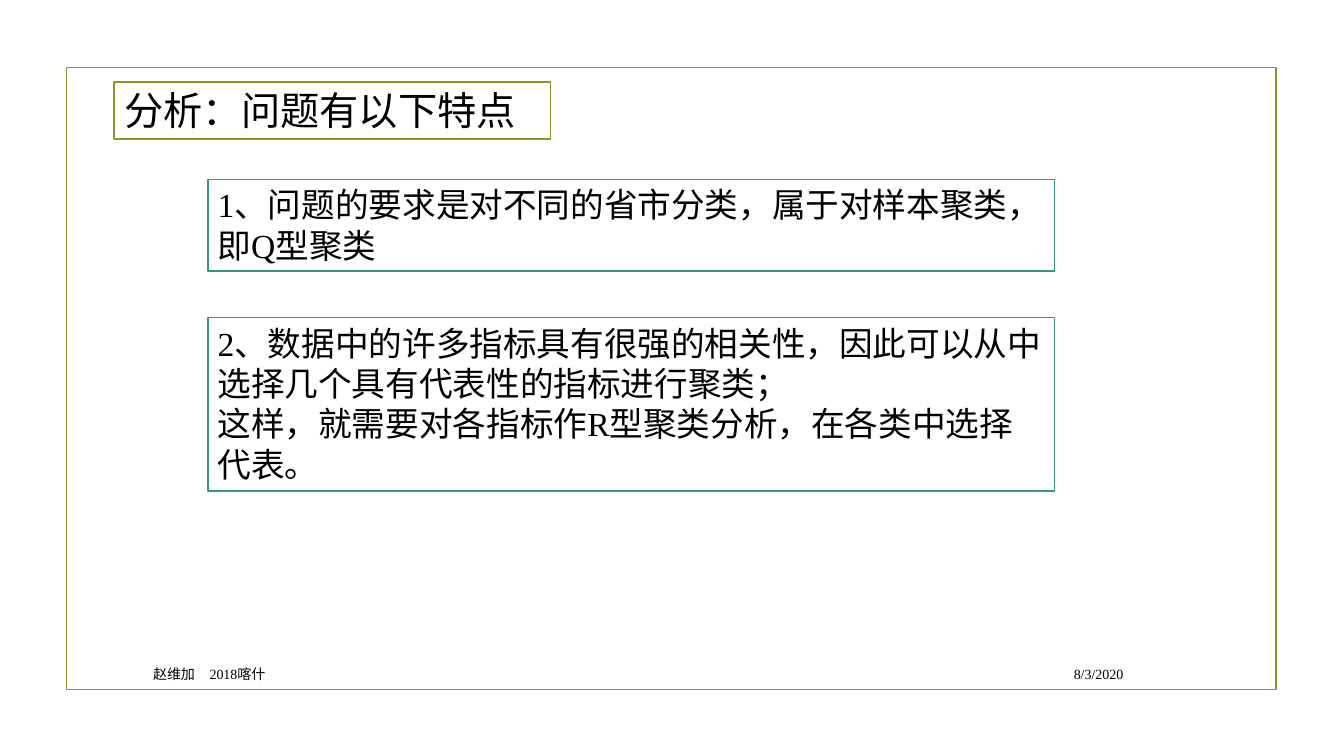
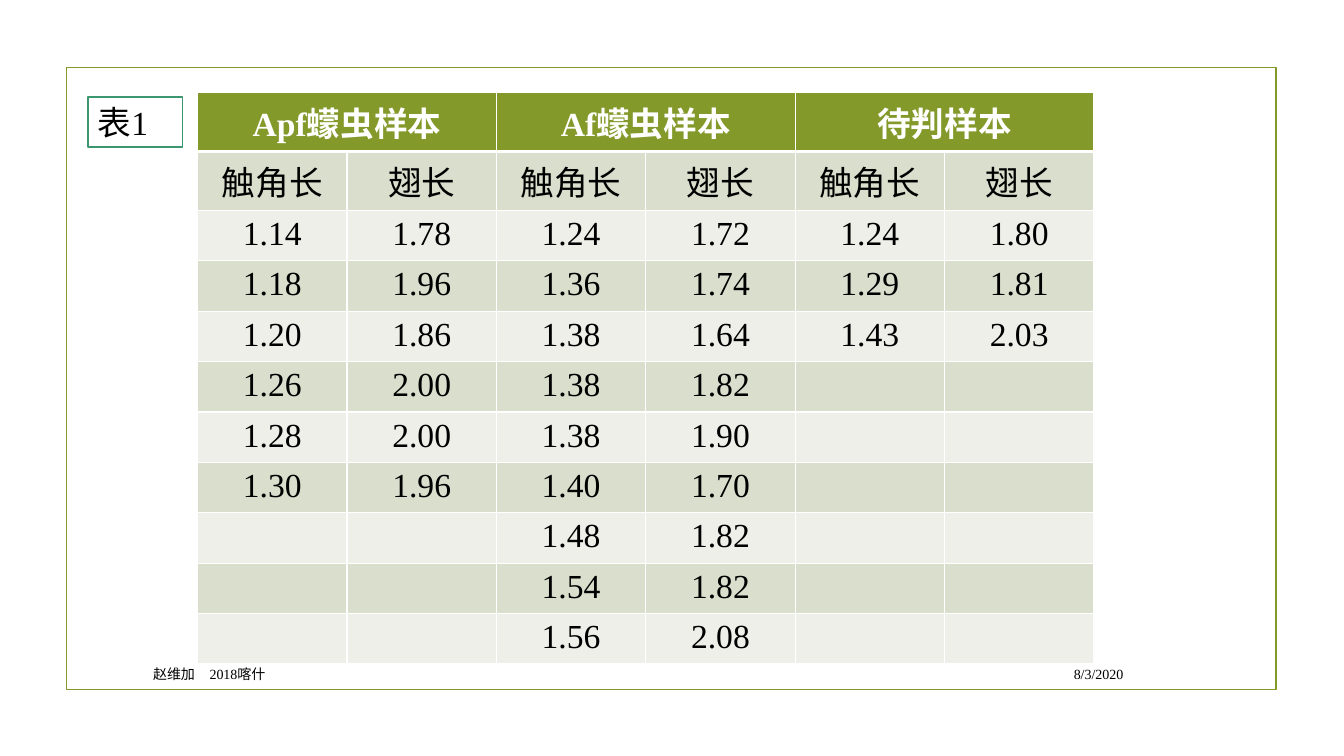
from lxml import etree
from pptx import Presentation
from pptx import util as u
from pptx.dml.color import RGBColor
from pptx.enum import shapes, text
from pptx.oxml import ns

OLIVE = RGBColor(0x83, 0x99, 0x2A)
TEAL = RGBColor(0x3C, 0x97, 0x70)
DARK = RGBColor(0xD9, 0xDE, 0xCD)
PALE = RGBColor(0xED, 0xEF, 0xE8)
WHITE = RGBColor(0xFF, 0xFF, 0xFF)
BLACK = RGBColor(0, 0, 0)

BASE = {"name": "Times New Roman", "bold": False}
LEFT = text.PP_ALIGN.LEFT
RIGHT = text.PP_ALIGN.RIGHT
CENTER = text.PP_ALIGN.CENTER
TOP = text.MSO_ANCHOR.TOP
MIDDLE = text.MSO_ANCHOR.MIDDLE

HEADS = ["Apf蠓虫样本", "Af蠓虫样本", "待判样本"]
NAMES = ["触角长", "翅长"]
APF = [("1.14", "1.78"), ("1.18", "1.96"), ("1.20", "1.86"),
       ("1.26", "2.00"), ("1.28", "2.00"), ("1.30", "1.96")]
AF = [("1.24", "1.72"), ("1.36", "1.74"), ("1.38", "1.64"),
      ("1.38", "1.82"), ("1.38", "1.90"), ("1.40", "1.70"),
      ("1.48", "1.82"), ("1.54", "1.82"), ("1.56", "2.08")]
TEST = [("1.24", "1.80"), ("1.29", "1.81"), ("1.43", "2.03")]


def inches(*nums):
    return [u.Inches(n) for n in nums]


def write(frame, words, size, align=LEFT, color=BLACK, **extra):
    frame.text = words
    for para in frame.paragraphs:
        para.alignment = align
        for run in para.runs:
            look = {**BASE, "size": u.Pt(size), **extra}
            for key, value in look.items():
                setattr(run.font, key, value)
            run.font.color.rgb = color


def setup(frame, anchor):
    look = {"word_wrap": True, "vertical_anchor": anchor,
            "auto_size": text.MSO_AUTO_SIZE.NONE}
    for key, value in look.items():
        setattr(frame, key, value)


def outline(shape, color):
    shape.line.color.rgb = color
    shape.line.width = u.Pt(1.25)


def fill(item, color):
    item.fill.solid()
    item.fill.fore_color.rgb = color


def rect(slide, place):
    shape = slide.shapes.add_shape(shapes.MSO_SHAPE.RECTANGLE, *inches(*place))
    shape.shadow.inherit = False
    return shape


def panel(shape, words, size, color):
    fill(shape, WHITE)
    outline(shape, color)
    setup(shape.text_frame, TOP)
    write(shape.text_frame, words, size)


def title(slide, place, words, size, color):
    shape = slide.shapes.title
    for key, value in zip(("left", "top", "width", "height"), inches(*place)):
        setattr(shape, key, value)
    panel(shape, words, size, color)


def label(slide, place, words, align):
    frame = slide.shapes.add_textbox(*inches(*place)).text_frame
    setup(frame, MIDDLE)
    write(frame, words, 10, align)
    return frame.paragraphs[0]


def add_tab(para, pos):
    props = para._p.get_or_add_pPr()
    tabs = etree.SubElement(props, ns.qn("a:tabLst"))
    etree.SubElement(tabs, ns.qn("a:tab"), pos=str(u.Inches(pos)), algn="l")


def footer(slide):
    label(slide, (9.49, 6.53, 1.75, 0.31), "8/3/2020", RIGHT)
    name = label(slide, (1.42, 6.53, 7.99, 0.31), "赵维加\t2018喀什", LEFT)
    add_tab(name, 0.56)


def frame_layout(layout, slide):
    frame = rect(slide, (0.66, 0.67, 12, 6.17))
    frame.fill.background()
    outline(frame, OLIVE)
    layout.shapes.element.append(frame.element)


def border(cell, row):
    props = cell._tc.get_or_add_tcPr()
    sides = {"L": 1, "R": 1, "T": 3 if row == 1 else 1, "B": 3 if row == 0 else 1}
    for side, width in sides.items():
        line = etree.SubElement(props, ns.qn(f"a:ln{side}"), w=str(u.Pt(width)))
        paint = etree.SubElement(line, ns.qn("a:solidFill"))
        etree.SubElement(paint, ns.qn("a:srgbClr"), val=str(WHITE))


def table_rows():
    rows = [[word for head in HEADS for word in (head, "")], NAMES * len(HEADS)]
    for i in range(len(AF)):
        rows.append([word for group in (APF, AF, TEST)
                     for word in (group[i] if i < len(group) else ("", ""))])
    return rows


def table(slide, left, top, width, height):
    rows = table_rows()
    count = len(rows[0])
    grid = slide.shapes.add_table(
        len(rows), count, *inches(left, top, width, height)).table
    for col in grid.columns:
        col.width = u.Inches(width / count)
    for r, row in enumerate(rows):
        grid.rows[r].height = u.Inches(height / len(rows))
        for c, word in enumerate(row):
            cell = grid.cell(r, c)
            border(cell, r)
            fill(cell, OLIVE if r == 0 else DARK if r % 2 else PALE)
            write(cell.text_frame, word, 24, CENTER,
                  BLACK if r else WHITE, bold=r == 0)
    for c in range(0, count, 2):
        grid.cell(0, c).merge(grid.cell(0, c + 1))


def traits(slide):
    title(slide, (1.13, 0.81, 4.33, 0.57), "分析：问题有以下特点", 28, OLIVE)
    notes = [
        (1.78, 0.91, "1、问题的要求是对不同的省市分类，属于对样本聚类，即Q型聚类"),
        (3.15, 1.72, "2、数据中的许多指标具有很强的相关性，因此可以从中选择几个具有代表性的指标进行聚类；\n"
                     "这样，就需要对各指标作R型聚类分析，在各类中选择代表。"),
    ]
    for top, height, words in notes:
        panel(rect(slide, (2.06, top, 8.4, height)), words, 24, TEAL)
    footer(slide)


def samples(slide):
    footer(slide)
    table(slide, 1.96, 0.92, 8.89, 5.5)
    title(slide, (0.87, 0.96, 0.94, 0.5), "表1", 24, TEAL)


def main():
    deck = Presentation()
    deck.slide_width, deck.slide_height = inches(13.33, 7.5)
    layout = deck.slide_layouts[5]
    first = deck.slides.add_slide(layout)
    frame_layout(layout, first)
    traits(first)
    samples(deck.slides.add_slide(layout))
    deck.save("out.pptx")


if __name__ == "__main__":
    main()
